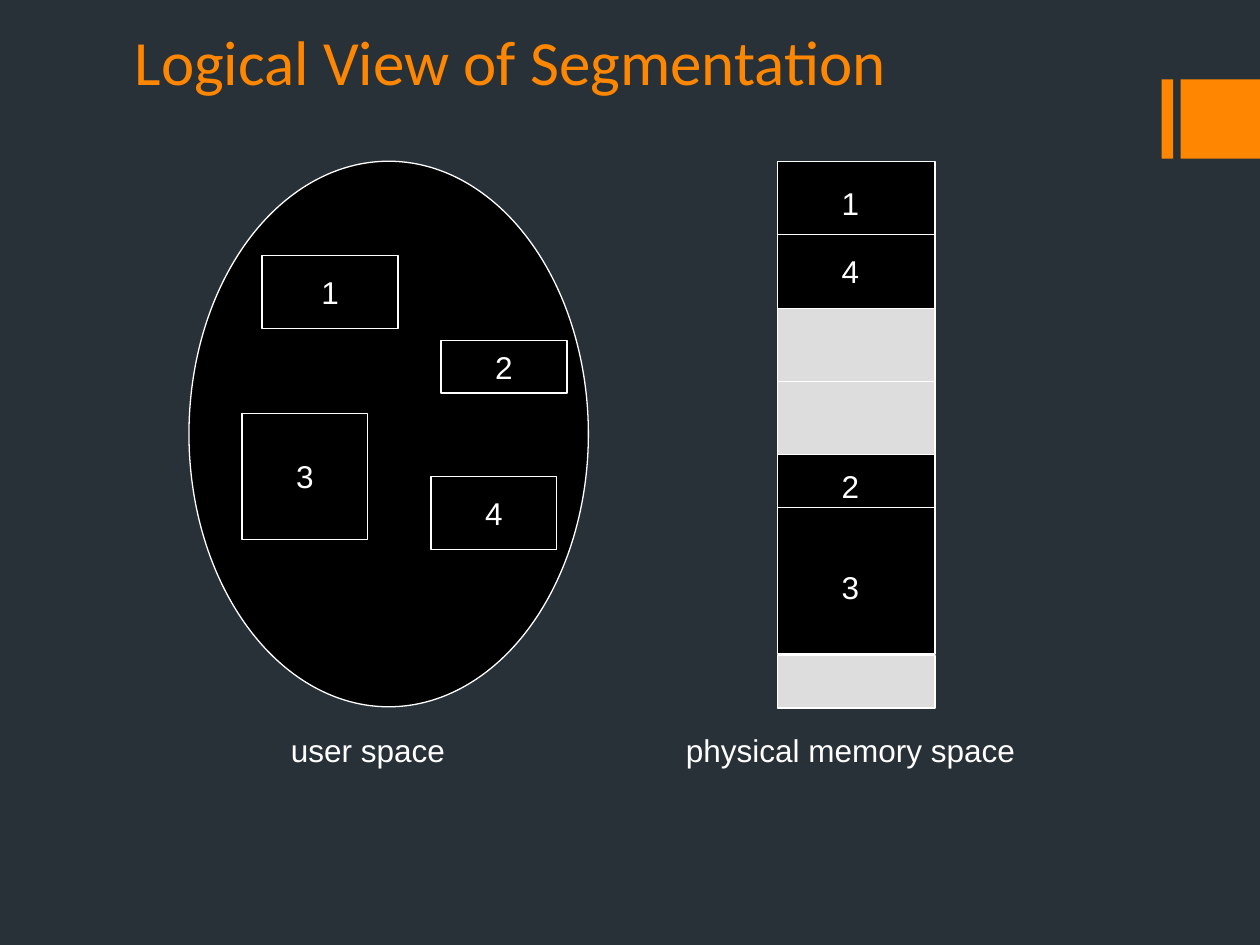
from lxml.etree import SubElement
from pptx import Presentation
from pptx.dml.color import RGBColor
from pptx.enum.shapes import MSO_CONNECTOR, MSO_SHAPE
from pptx.enum.text import MSO_ANCHOR, MSO_AUTO_SIZE, PP_ALIGN
from pptx.oxml.ns import qn
from pptx.util import Inches, Pt

ORANGE, WHITE, BLACK, GRAY = "FF8600", "FFFFFF", "000000", "DDDDDD"
BACKGROUND = "283138"


def color(hex_string):
    return RGBColor.from_string(hex_string)


def apply_format(target, values):
    for name, value in values.items():
        setattr(target, name, value)


class SlideBuilder:
    """Holds the style, the current slide and the shapes being drawn into."""

    body = {"name": "Arial", "size": Pt(18)}
    heading = {"name": "Calibri", "size": Pt(36)}
    label_frame = {"word_wrap": False, "vertical_anchor": MSO_ANCHOR.MIDDLE}
    title_frame = {"word_wrap": True, "vertical_anchor": MSO_ANCHOR.BOTTOM,
                   "margin_bottom": 0}
    line_width = Pt(0.75)

    def __init__(self, slide):
        self.slide = slide
        self.shapes = slide.shapes

    def background(self, fill):
        self.slide.background.fill.solid()
        self.slide.background.fill.fore_color.rgb = color(fill)

    def start_group(self):
        self.shapes = self.slide.shapes.add_group_shape().shapes

    def end_group(self):
        self.shapes = self.slide.shapes

    def set_text(self, shape, text, frame, font, text_color, alignment):
        apply_format(shape.text_frame, frame)
        paragraph = shape.text_frame.paragraphs[0]
        paragraph.text = text
        paragraph.alignment = alignment
        apply_format(paragraph.font, font)
        paragraph.font.color.rgb = color(text_color)

    def shape(self, kind, box, fill, line=WHITE, text=None):
        shape = self.shapes.add_shape(kind, *map(Inches, box))
        shape.shadow.inherit = False
        shape.fill.solid()
        shape.fill.fore_color.rgb = color(fill)
        if line:
            shape.line.color.rgb = color(line)
            shape.line.width = self.line_width
        else:
            shape.line.fill.background()
        if text:
            self.set_text(shape, text, self.label_frame, self.body, WHITE, PP_ALIGN.CENTER)

    def divider(self, left, right, top):
        line = self.shapes.add_connector(
            MSO_CONNECTOR.STRAIGHT, *map(Inches, (left, top, right, top)))
        line.line.color.rgb = color(WHITE)
        line.line.width = self.line_width
        SubElement(line._element.spPr, qn("a:effectLst"))

    def label(self, box, text):
        text_box = self.shapes.add_textbox(*map(Inches, box))
        frame = {**self.label_frame, "auto_size": MSO_AUTO_SIZE.SHAPE_TO_FIT_TEXT}
        self.set_text(text_box, text, frame, self.body, WHITE, PP_ALIGN.CENTER)

    def title(self, box, text):
        text_box = self.shapes.add_textbox(*map(Inches, box))
        self.set_text(text_box, text, self.title_frame, self.heading, ORANGE, PP_ALIGN.LEFT)


def main():
    presentation = Presentation()
    presentation.slide_width = Inches(10)
    presentation.slide_height = Inches(7.5)
    builder = SlideBuilder(presentation.slides.add_slide(presentation.slide_layouts[6]))
    rectangle = MSO_SHAPE.RECTANGLE

    # Background, accent bars and title
    builder.background(BACKGROUND)
    for left, width in ((9.22, 0.09), (9.37, 0.63)):
        builder.shape(rectangle, (left, 0.63, width, 0.63), ORANGE, line=None)
    builder.title((0.97, 0.15, 8.53, 0.63), "Logical View of Segmentation")

    # User space with its segments
    builder.shape(MSO_SHAPE.OVAL, (1.5, 1.28, 3.17, 4.33), BLACK)
    segments = {
        "1": (2.08, 2.03, 1.08, 0.58),
        "3": (1.92, 3.28, 1, 1),
        "2": (3.5, 2.7, 1, 0.42),
        "4": (3.42, 3.78, 1, 0.58),
    }
    for number, box in segments.items():
        builder.shape(rectangle, box, BLACK, text=number)

    # Physical memory: blocks, dividers and segment numbers
    left, width = 6.17, 1.25
    blocks = ((1.28, 1.17, BLACK), (2.45, 1.17, GRAY),
              (3.61, 1.58, BLACK), (5.2, 0.42, GRAY))
    builder.start_group()
    for top, height, fill in blocks:
        builder.shape(rectangle, (left, top, width, height), fill)
    for top in (1.86, 3.03, 4.03):
        builder.divider(left, left + width, top)
    for number, top in (("1", 1.41), ("4", 1.95), ("2", 3.66), ("3", 4.46)):
        builder.label((6.58, top, 0.34, 0.4), number)
    builder.end_group()

    # Captions
    builder.label((2.2, 5.75, 1.51, 0.4), "user space ")
    builder.label((5.33, 5.75, 2.84, 0.4), "physical memory space")

    presentation.save("out.pptx")


if __name__ == "__main__":
    main()
